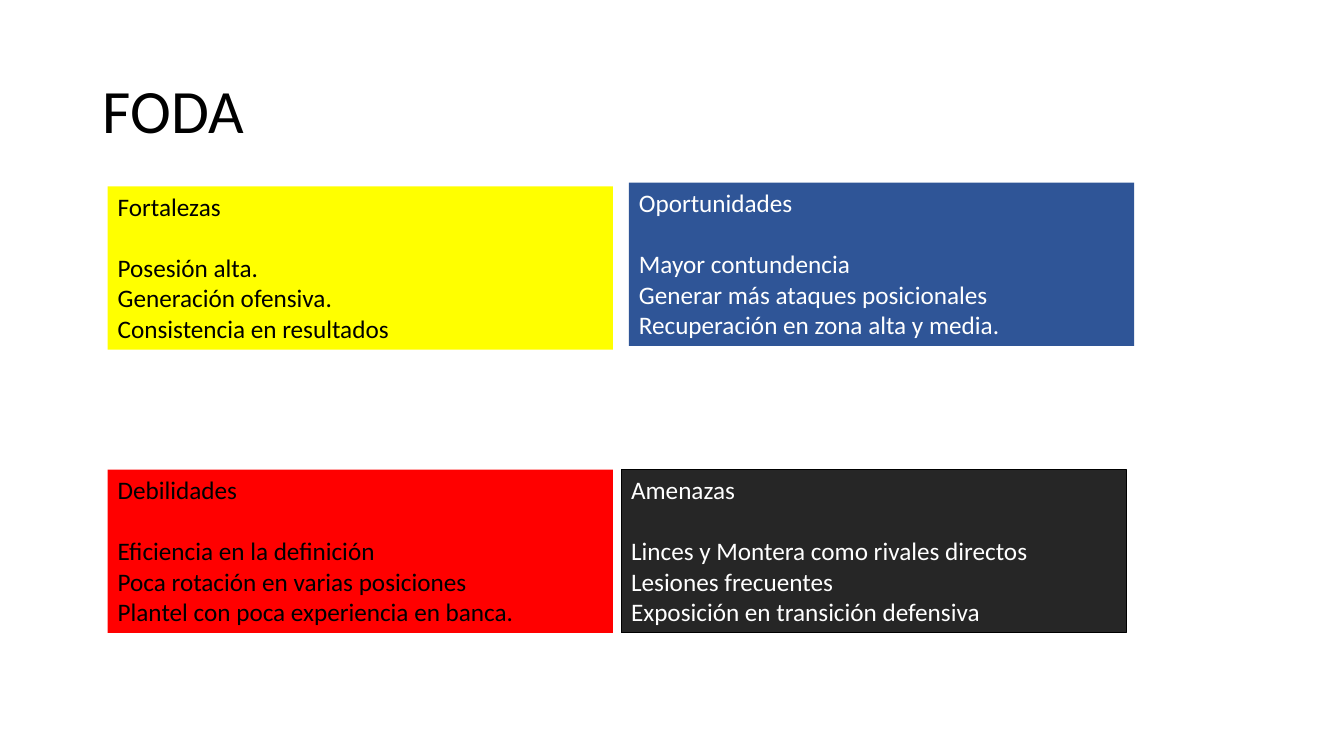
import dataclasses

import pptx
import pptx.dml.color
import pptx.enum.shapes
import pptx.enum.text
import pptx.util

Pt = pptx.util.Pt
RGB = pptx.dml.color.RGBColor.from_string


@dataclasses.dataclass(frozen=True)
class Theme:
    font: str = "Calibri"
    title_size: float = 44
    body_size: float = 18
    heading_gap: float = 22
    border_width: float = 0.75
    black: str = "000000"
    white: str = "FFFFFF"
    yellow: str = "FFFF00"
    blue: str = "2F5597"
    red: str = "FF0000"
    charcoal: str = "262626"


THEME = Theme()
PANEL_WIDTH, PANEL_HEIGHT = 360.8, 116.64

PANELS = [
    ((77, 133.2), THEME.yellow, THEME.black, None, "Fortalezas",
     ["Posesión alta.", "Generación ofensiva.", "Consistencia en resultados"]),
    ((449.3, 130.5), THEME.blue, THEME.white, None, "Oportunidades",
     ["Mayor contundencia", "Generar más ataques posicionales",
      "Recuperación en zona alta y media."]),
    ((77, 335.5), THEME.red, THEME.black, None, "Debilidades",
     ["Eficiencia en la definición", "Poca rotación en varias posiciones",
      "Plantel con poca experiencia en banca."]),
    ((443.7, 335.5), THEME.charcoal, THEME.white, THEME.black, "Amenazas",
     ["Linces y Montera como rivales directos", "Lesiones frecuentes",
      "Exposición en transición defensiva"]),
]


def format_paragraph(p, size, color):
    p.alignment = pptx.enum.text.PP_ALIGN.LEFT
    for r in p.runs:
        r.font.name = THEME.font
        r.font.size = Pt(size)
        r.font.color.rgb = RGB(color)


def add_title(s, text, left, top, width, height):
    sp = s.shapes.title
    sp.left, sp.top, sp.width, sp.height = map(Pt, (left, top, width, height))
    tf = sp.text_frame
    tf.text = text
    tf.word_wrap = True
    tf.auto_size = pptx.enum.text.MSO_AUTO_SIZE.NONE
    tf.vertical_anchor = pptx.enum.text.MSO_ANCHOR.MIDDLE
    p = tf.paragraphs[0]
    p.line_spacing = 0.9
    format_paragraph(p, THEME.title_size, THEME.black)


def add_panel(s, box, fill, color, border, heading, points):
    sp = s.shapes.add_shape(
        pptx.enum.shapes.MSO_SHAPE.RECTANGLE, *map(Pt, box))
    sp.shadow.inherit = False
    sp.fill.solid()
    sp.fill.fore_color.rgb = RGB(fill)
    if border:
        sp.line.color.rgb = RGB(border)
        sp.line.width = Pt(THEME.border_width)
    else:
        sp.line.fill.background()
    tf = sp.text_frame
    tf.text = "\n".join([heading, *points])
    tf.word_wrap = True
    tf.auto_size = pptx.enum.text.MSO_AUTO_SIZE.SHAPE_TO_FIT_TEXT
    tf.vertical_anchor = pptx.enum.text.MSO_ANCHOR.TOP
    for p in tf.paragraphs:
        format_paragraph(p, THEME.body_size, color)
    tf.paragraphs[1].space_before = Pt(THEME.heading_gap)


def add_swot_slide(prs):
    s = prs.slides.add_slide(prs.slide_layouts[5])
    add_title(s, "FODA", 66, 28.75, 828, 104.4)
    for position, *content in PANELS:
        add_panel(s, (*position, PANEL_WIDTH, PANEL_HEIGHT), *content)


def main():
    prs = pptx.Presentation()
    prs.slide_width, prs.slide_height = Pt(960), Pt(540)
    add_swot_slide(prs)
    prs.save("out.pptx")


if __name__ == "__main__":
    main()
